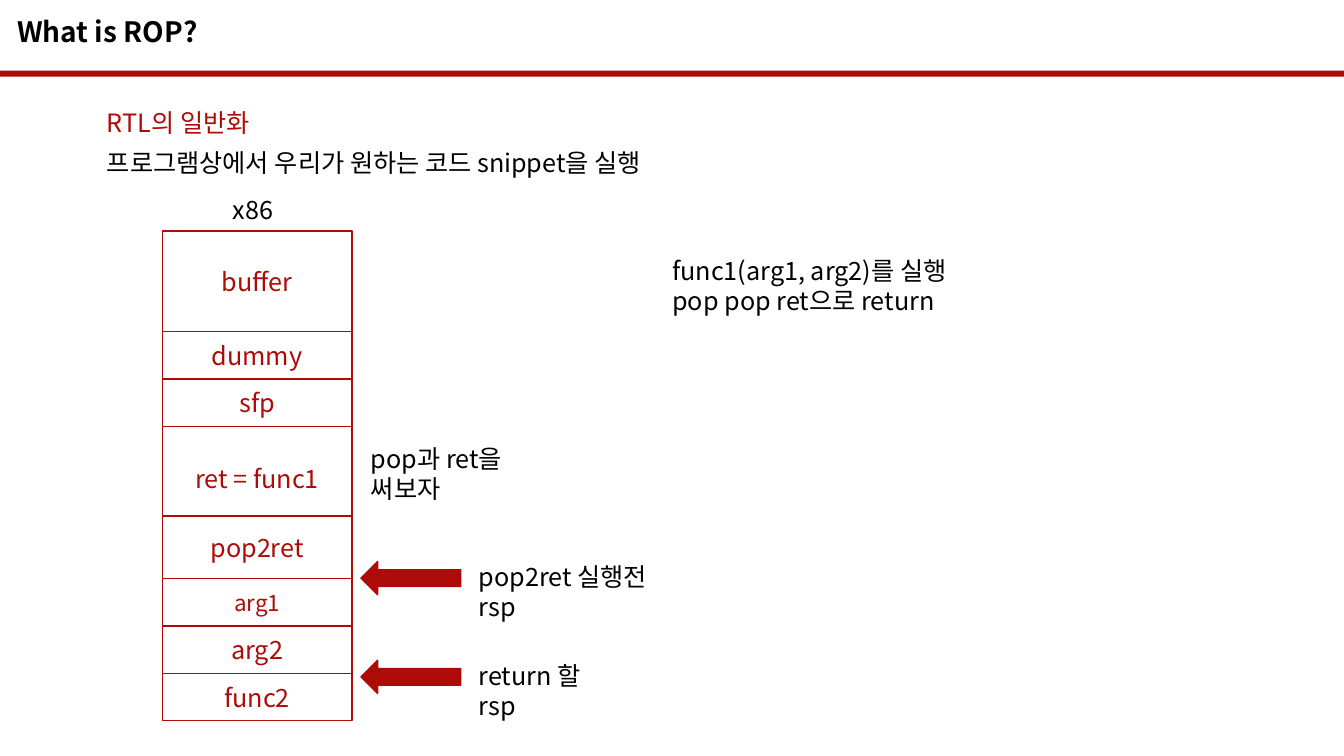
from dataclasses import dataclass

from pptx import Presentation
from pptx import util as u
from pptx.dml.color import RGBColor
from pptx.enum import shapes, text
from pptx.oxml import parse_xml
from pptx.oxml.ns import nsdecls

CELL = u.Inches(0.1)
COLUMNS, ROWS = 133.3, 75


@dataclass(frozen=True)
class Theme:
    """Colours, type sizes and font of the deck."""
    accent: RGBColor = RGBColor(0xAD, 0x0B, 0x07)
    ink: RGBColor = RGBColor(0, 0, 0)
    paper: RGBColor = RGBColor(255, 255, 255)
    font: str = "Noto Sans CJK KR"
    title: int = 20
    body: int = 18
    small: int = 16


THEME = Theme()


@dataclass(frozen=True)
class Box:
    """A region measured in grid cells."""
    left: float
    top: float
    width: float
    height: float

    def inside(self, left, top, width, height):
        """Return a box offset from this one."""
        return Box(self.left + left, self.top + top, width, height)

    def lengths(self):
        """Return the four lengths in slide units."""
        cells = (self.left, self.top, self.width, self.height)
        return [round(value * CELL) for value in cells]


def move(shape, box):
    """Put a shape into a box."""
    shape.left, shape.top, shape.width, shape.height = box.lengths()


def style(para, size=THEME.body, color=THEME.ink, bold=False, align=text.PP_ALIGN.LEFT):
    """Format every run of a paragraph."""
    para.alignment = align
    para.space_before = u.Pt(0)
    for span in para.runs:
        span.font.size = u.Pt(size)
        span.font.name = THEME.font
        span.font.bold = bold
        span.font.color.rgb = color
        latin = span.font._element.find("{*}latin")
        latin.addnext(parse_xml(f'<a:ea {nsdecls("a")} typeface="{THEME.font}"/>'))


def add_block(page, box, kind=shapes.MSO_SHAPE.RECTANGLE, fill=THEME.accent, outlined=True):
    """Add a flat preset shape."""
    block = page.shapes.add_shape(kind, *box.lengths())
    block.shadow.inherit = False
    block.fill.solid()
    block.fill.fore_color.rgb = fill
    if outlined:
        block.line.color.rgb = THEME.accent
        block.line.width = u.Pt(1)
    else:
        block.line.fill.background()
    return block


def add_note(page, box, words):
    """Add a wrapped text box in the body style."""
    frame = page.shapes.add_textbox(*box.lengths()).text_frame
    frame.word_wrap = True
    frame.text = words
    for para in frame.paragraphs:
        style(para)


def place_header(page, box):
    """Place the title and the rule below it."""
    title = page.shapes.title
    move(title, box.inside(0.7, 0.9, box.width - 1.4, 4.4))
    frame = title.text_frame
    frame.text = "What is ROP?"
    frame.vertical_anchor = text.MSO_ANCHOR.TOP
    frame.auto_size = text.MSO_AUTO_SIZE.NONE
    style(frame.paragraphs[0], THEME.title, bold=True)
    add_block(page, box.inside(0, 7, box.width, 0.6), outlined=False)


def place_summary(page, box):
    """Place the two opening statements in the body placeholder."""
    body = page.placeholders[1]
    move(body, box)
    frame = body.text_frame
    frame.text = "RTL의 일반화\n프로그램상에서 우리가 원하는 코드 snippet을 실행"
    frame.vertical_anchor = text.MSO_ANCHOR.TOP
    frame.auto_size = text.MSO_AUTO_SIZE.NONE
    for para, color in zip(frame.paragraphs, (THEME.accent, THEME.ink)):
        style(para, color=color)
        para.space_after = u.Pt(7.5)
        properties = para._p.get_or_add_pPr()
        properties.set("marL", "0")
        properties.set("indent", "0")
        properties.append(parse_xml(f'<a:buNone {nsdecls("a")}/>'))


def place_stack(page, box):
    """Place the stack frames one below another under their label."""
    add_note(page, box.inside(6, 0, 6.8, 4), "x86")
    row, overlap = 4.7, 1.5
    frames = [
        ("buffer", 10), ("dummy", row), ("sfp", row), ("ret = func1", 8.9),
        ("pop2ret", 6.2), ("arg1", row), ("arg2", row), ("func2", row),
    ]
    top = 4.1
    for name, height in frames:
        extra = overlap if name.startswith("ret") else 0
        block = add_block(page, box.inside(0, top, box.width, height + extra), fill=THEME.paper)
        block.text_frame.text = name
        block.text_frame.vertical_anchor = text.MSO_ANCHOR.MIDDLE
        size = THEME.small if name == "arg1" else THEME.body
        style(block.text_frame.paragraphs[0], size, THEME.accent, align=text.PP_ALIGN.CENTER)
        top += height


def place_marker(page, box, words):
    """Place an arrow to the stack and its caption."""
    add_block(page, box.inside(0, 0.5, 9.9, 3.3), shapes.MSO_SHAPE.LEFT_ARROW)
    add_note(page, box.inside(10.7, 0, box.width - 10.7, box.height), words)


def build_page(deck, box):
    """Build the slide that explains the stack layout."""
    page = deck.slides.add_slide(deck.slide_layouts[1])
    place_header(page, box)
    place_summary(page, box.inside(9.6, 10.1, 88.7, 8))
    place_stack(page, box.inside(16.1, 18.8, 18.8, 52.7))
    add_note(page, box.inside(35.8, 43.5, 22, 4), "pop과 ret을 써보자")
    place_marker(page, box.inside(35.8, 55.2, 33.3, 4), "pop2ret 실행전 rsp")
    place_marker(page, box.inside(35.8, 65, 26.8, 4), "return 할 rsp")
    add_note(page, box.inside(65.7, 24.8, 33, 7.1),
             "func1(arg1, arg2)를 실행\npop pop ret으로 return")


deck = Presentation()
deck.slide_width = round(COLUMNS * CELL)
deck.slide_height = ROWS * CELL
build_page(deck, Box(0, 0, COLUMNS, ROWS))
deck.save("out.pptx")
